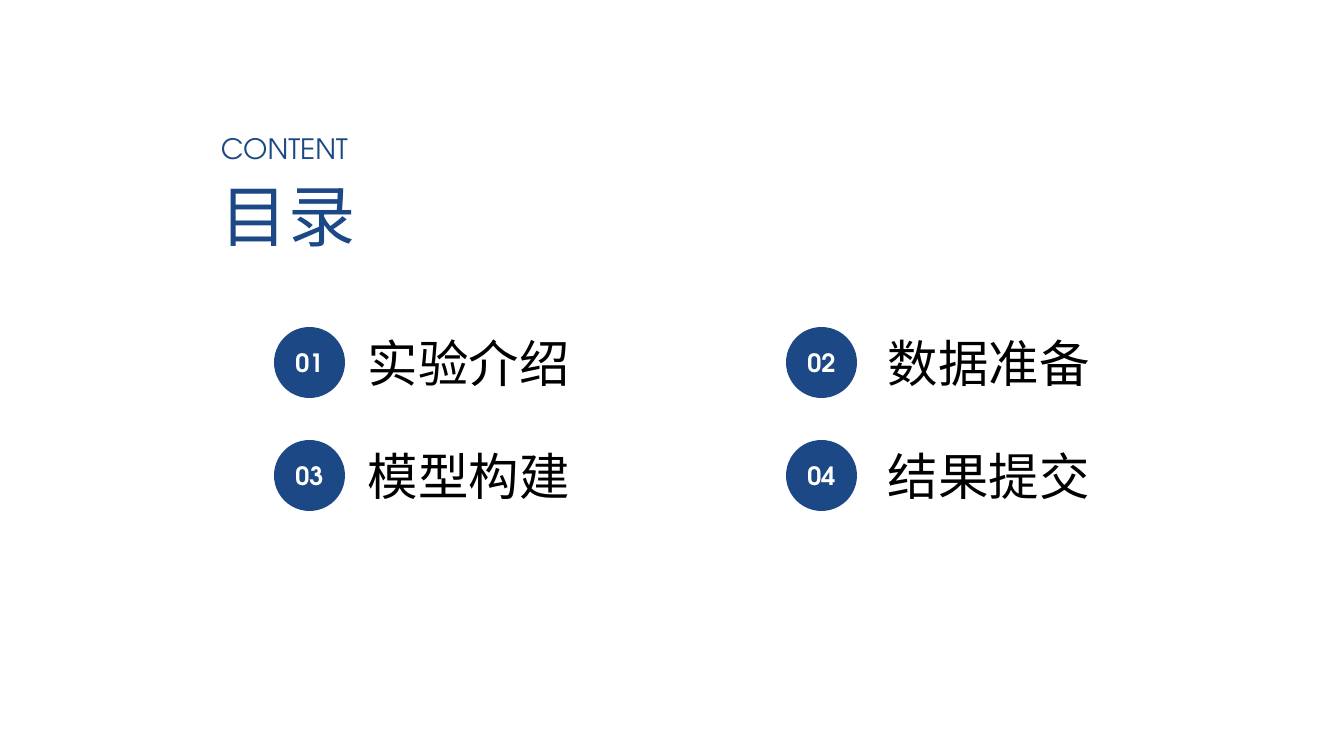
from pptx import Presentation
from pptx.dml.color import RGBColor
from pptx.enum.shapes import MSO_SHAPE
from pptx.enum.text import MSO_ANCHOR, PP_ALIGN

PX = 9071.43  # EMU per px, 100.8 px to the inch
NAVY = RGBColor(0x1C, 0x48, 0x85)
WHITE = RGBColor(0xFF, 0xFF, 0xFF)
BLACK = RGBColor(0x00, 0x00, 0x00)
CJK_FONT, LATIN_FONT = "Lato", "TeX Gyre Adventor"

# Headings: text, top, height, size, font
HEADINGS = [
    ("目录", 169, 92, 48, CJK_FONT),
    ("CONTENT", 127, 44, 20, LATIN_FONT),
]
# Agenda, read row by row
TOPICS = ["实验介绍", "数据准备", "模型构建", "结果提交"]

HEADING_X, HEADING_W = 211, 256
CIRCLE_XS, TOPIC_XS = (274, 786), (358, 878)
ROW_Y, ROW_STEP = 327, 113
CIRCLE_D, TOPIC_W, TOPIC_H = 71, 408, 72


def px(*lengths):
    return [round(n * PX) for n in lengths]


def write(s, text, size, font, color, align=PP_ALIGN.JUSTIFY, bold=False):
    tf = s.text_frame
    tf.word_wrap = True
    p = tf.paragraphs[0]
    p.text = text
    p.alignment = align
    p.font.size = round(size * 12700)
    p.font.name = font
    p.font.bold = bold
    p.font.color.rgb = color
    return tf


prs = Presentation()
prs.slide_width, prs.slide_height = px(1344, 756)
slide = prs.slides.add_slide(prs.slide_layouts[6])

# Title block
for text, y, h, size, font in HEADINGS:
    s = slide.shapes.add_textbox(*px(HEADING_X, y, HEADING_W, h))
    write(s, text, size, font, NAVY)

# Numbered topics in two columns
for i, topic in enumerate(TOPICS):
    row, col = divmod(i, 2)
    y = ROW_Y + row * ROW_STEP

    s = slide.shapes.add_shape(
        MSO_SHAPE.OVAL, *px(CIRCLE_XS[col], y, CIRCLE_D, CIRCLE_D))
    s.shadow.inherit = False
    s.fill.solid()
    s.fill.fore_color.rgb = NAVY
    s.line.fill.background()
    tf = write(s, f"{i + 1:02}", 18, LATIN_FONT, WHITE, PP_ALIGN.CENTER, True)
    tf.vertical_anchor = MSO_ANCHOR.MIDDLE
    tf.margin_left = tf.margin_right = 0

    s = slide.shapes.add_textbox(*px(TOPIC_XS[col], y, TOPIC_W, TOPIC_H))
    write(s, topic, 36, CJK_FONT, BLACK)

prs.save("out.pptx")
